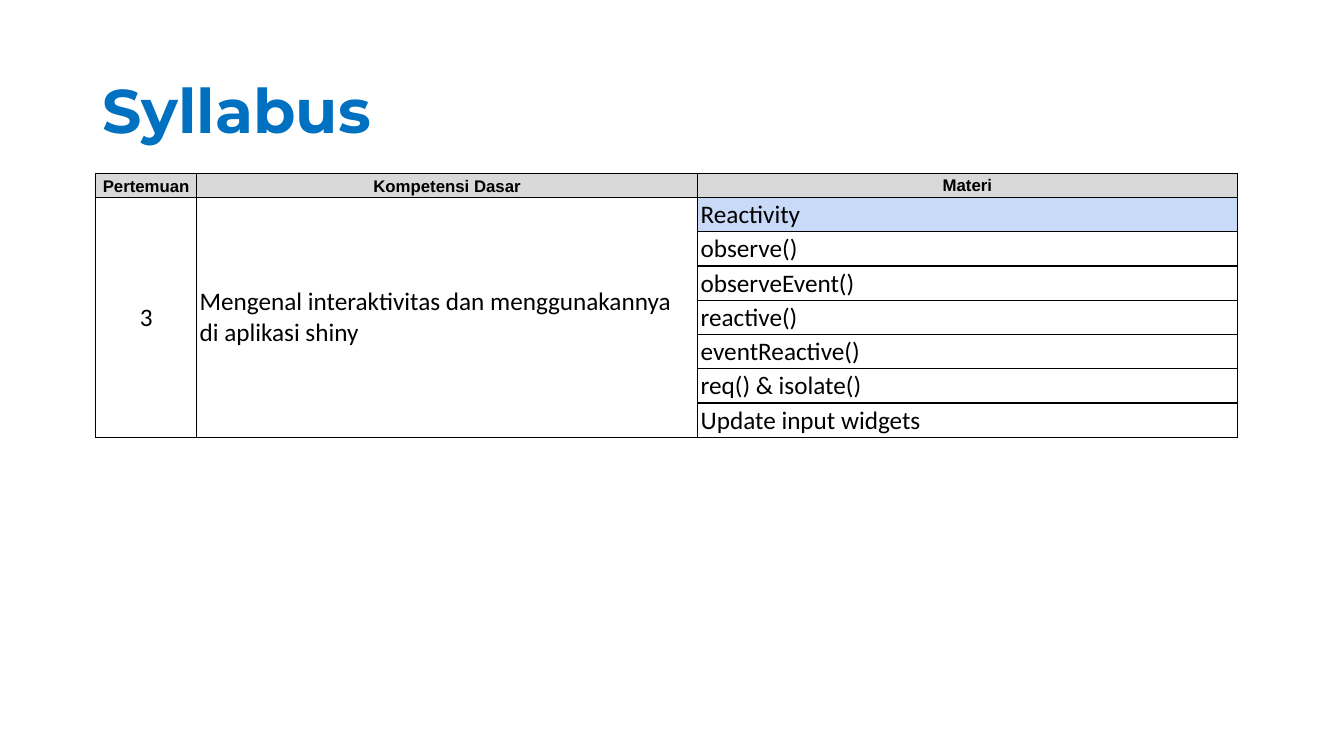
from dataclasses import dataclass

from lxml.etree import SubElement
from pptx import Presentation
from pptx.dml.color import RGBColor
from pptx.enum.text import MSO_ANCHOR as Anchor, PP_ALIGN as Align
from pptx.oxml.ns import qn
from pptx.util import Pt

PX = 9144


@dataclass(frozen=True)
class Theme:
    title_color: str = "0070C0"
    ink: str = "000000"
    header_fill: str = "D9D9D9"
    highlight: str = "C9DAF8"
    title_font: str = "Montserrat"
    header_font: str = "Arial"
    body_font: str = "Calibri"
    title_size: int = 44
    header_size: int = 12
    body_size: int = 18
    border: int = 1


THEME = Theme()
HEADINGS = ["Pertemuan", "Kompetensi Dasar", "Materi"]
MEETING = "3"
COMPETENCE = "Mengenal interaktivitas dan menggunakannya di aplikasi shiny"
TOPICS = [
    "Reactivity",
    "observe()",
    "observeEvent()",
    "reactive()",
    "eventReactive()",
    "req() & isolate()",
    "Update input widgets",
]


def px(*lengths):
    return [length * PX for length in lengths]


def style_text(frame, text, font, size, color, bold=False, align=Align.LEFT):
    frame.text = text
    paragraph = frame.paragraphs[0]
    paragraph.alignment = align
    face = paragraph.runs[0].font
    face.name, face.size, face.bold = font, Pt(size), bold
    face.color.rgb = RGBColor.from_string(color)


def draw_borders(cell):
    properties = cell._tc.get_or_add_tcPr()
    for side in ("a:lnL", "a:lnR", "a:lnT", "a:lnB"):
        line = SubElement(properties, qn(side), w=str(Pt(THEME.border)))
        fill = SubElement(line, qn("a:solidFill"))
        SubElement(fill, qn("a:srgbClr"), val=THEME.ink)


def fill_cell(cell, color=None):
    if color:
        cell.fill.solid()
        cell.fill.fore_color.rgb = RGBColor.from_string(color)
    else:
        cell.fill.background()


def write_header(cell, text, anchor):
    style_text(cell.text_frame, text, THEME.header_font, THEME.header_size,
               THEME.ink, True, Align.CENTER)
    cell.vertical_anchor = anchor
    fill_cell(cell, THEME.header_fill)


def write_body(cell, text, align=Align.LEFT):
    style_text(cell.text_frame, text, THEME.body_font, THEME.body_size,
               THEME.ink, align=align)
    cell.vertical_anchor = Anchor.MIDDLE


def add_title(slide, left, top, width, height):
    title = slide.shapes.add_textbox(*px(left, top, width, height)).text_frame
    title.word_wrap = True
    title.vertical_anchor = Anchor.MIDDLE
    style_text(title, "Syllabus", THEME.title_font, THEME.title_size,
               THEME.title_color, True)
    title.paragraphs[0].line_spacing = 0.9


def add_syllabus(slide, left, top, width, row_height):
    row_count = len(TOPICS) + 1
    meeting_width, competence_width = 100, 497
    widths = px(meeting_width, competence_width,
                width - meeting_width - competence_width)
    syllabus = slide.shapes.add_table(
        row_count, len(HEADINGS),
        *px(left, top, width, row_height * row_count)).table
    syllabus.first_row = syllabus.horz_banding = False
    for column, column_width in zip(syllabus.columns, widths):
        column.width = column_width

    for cell in syllabus.iter_cells():
        cell.margin_left, cell.margin_right = px(3, 3)
        cell.margin_top, cell.margin_bottom = px(2, 2)
        draw_borders(cell)
        fill_cell(cell)

    anchors = [Anchor.BOTTOM, Anchor.BOTTOM, Anchor.MIDDLE]
    for index, (heading, anchor) in enumerate(zip(HEADINGS, anchors)):
        write_header(syllabus.cell(0, index), heading, anchor)

    for index in range(2):
        syllabus.cell(1, index).merge(syllabus.cell(row_count - 1, index))
    write_body(syllabus.cell(1, 0), MEETING, Align.CENTER)
    write_body(syllabus.cell(1, 1), COMPETENCE)
    for row, topic in enumerate(TOPICS, start=1):
        write_body(syllabus.cell(row, 2), topic)
    fill_cell(syllabus.cell(1, 2), THEME.highlight)


def main():
    deck = Presentation()
    deck.slide_width, deck.slide_height = px(1333, 750)
    slide = deck.slides.add_slide(deck.slide_layouts[6])
    add_title(slide, 92, 40, 1150, 145)
    add_syllabus(slide, 95, 172, 1132, 22)
    deck.save("out.pptx")


if __name__ == "__main__":
    main()
